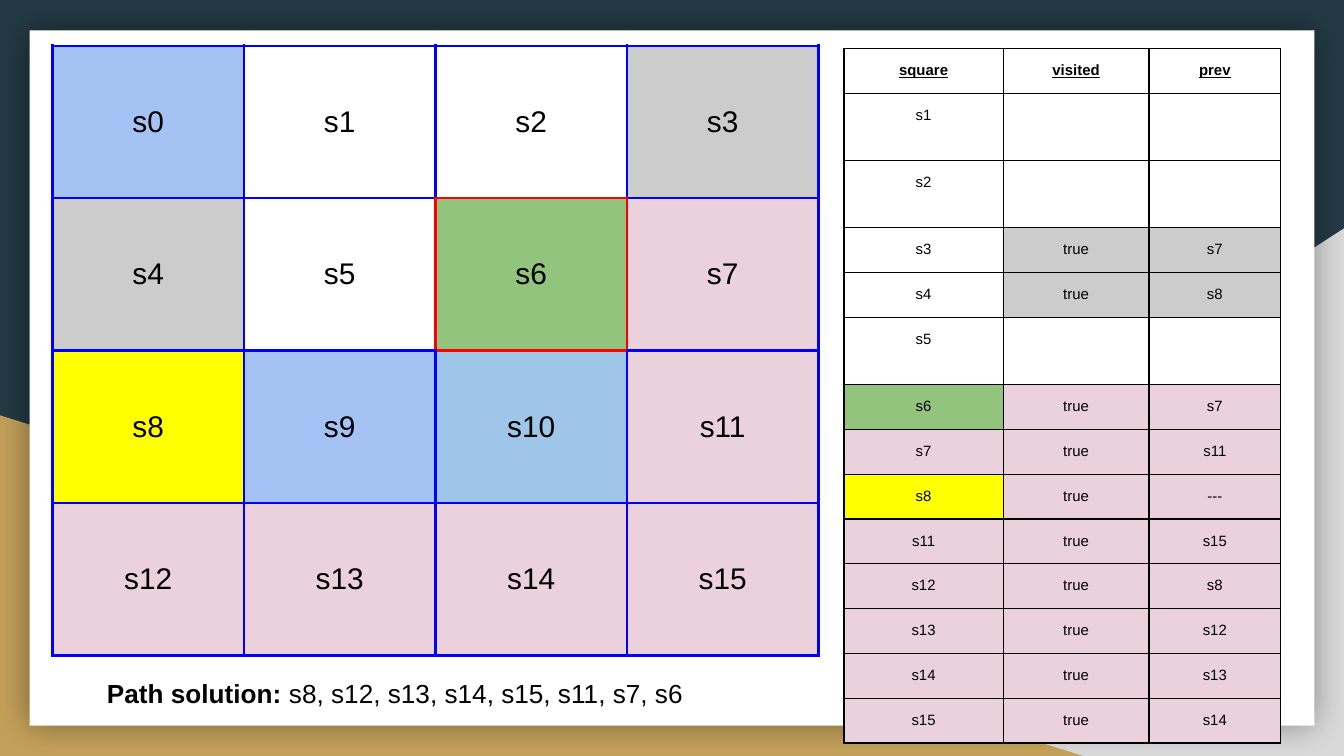
from lxml.etree import SubElement
from pptx import Presentation
from pptx.dml.color import RGBColor
from pptx.enum.shapes import MSO_SHAPE
from pptx.enum.text import MSO_ANCHOR, PP_ALIGN
from pptx.oxml.ns import qn
from pptx.util import Inches, Pt

COLORS = {
    "navy": "233A44", "silver": "D9D9D9", "gold": "C4A15A", "white": "FFFFFF",
    "black": "000000", "line": "0000FF", "goal_line": "FF0000",
    "open": "A4C2F4", "next": "9FC5E8", "wall": "CCCCCC",
    "visited": "EAD1DC", "start": "FFFF00", "goal": "93C47D",
}
COLUMNS, ROWS = 100, 56.25
SIDES = {"lnL": (0, -1), "lnR": (0, 1), "lnT": (-1, 0), "lnB": (1, 0)}


class Board:
    def __init__(self, deck, font="Arial"):
        self.deck = deck
        self.font = font
        self.slide = deck.slides.add_slide(deck.slide_layouts[6])

    def span(self, *units):
        return [int(self.deck.slide_width * unit / COLUMNS) for unit in units]

    def color(self, name):
        return RGBColor.from_string(COLORS[name])

    def paint(self, fill, name):
        if name:
            fill.solid()
            fill.fore_color.rgb = self.color(name)
        else:
            fill.background()

    def inset(self, holder):
        holder.margin_left = holder.margin_right = Inches(0.1)
        holder.margin_top = holder.margin_bottom = Inches(0.1)

    def style(self, paragraph, size, bold=None, underline=None):
        paragraph.alignment = PP_ALIGN.CENTER
        font = paragraph.font
        font.name, font.size = self.font, Pt(size)
        font.bold, font.underline = bold, underline
        font.color.rgb = self.color("black")

    def backdrop(self, name):
        self.paint(self.slide.background.fill, name)

    def panel(self, kind, place, name, flip=False, glow=False):
        panel = self.slide.shapes.add_shape(kind, *self.span(*place))
        panel.shadow.inherit = False
        self.paint(panel.fill, name)
        panel.line.fill.background()
        properties = panel.element.spPr
        if flip:
            properties.xfrm.set("flipH", "1")
        if glow:
            effects = properties.find(qn("a:effectLst"))
            shade = SubElement(effects, qn("a:outerShdw"), blurRad=str(Pt(18)), dist="0", dir="0",
                               algn="ctr", rotWithShape="0")
            tint = SubElement(shade, qn("a:srgbClr"), val=COLORS["black"])
            SubElement(tint, qn("a:alpha"), val="40000")

    def caption(self, place, label, detail, size):
        frame = self.slide.shapes.add_textbox(*self.span(*place)).text_frame
        frame.word_wrap = True
        self.inset(frame)
        paragraph = frame.paragraphs[0]
        self.style(paragraph, size)
        heading = paragraph.add_run()
        heading.text = label
        heading.font.bold = True
        paragraph.add_run().text = detail

    def border(self, cell, side, name, width):
        line = SubElement(cell._tc.get_or_add_tcPr(), qn(f"a:{side}"), w=str(Pt(width)))
        fill = SubElement(line, qn("a:solidFill"))
        SubElement(fill, qn("a:srgbClr"), val=COLORS[name])

    def table(self, corner, widths, heights, texts, fills, size, line, width,
              anchor=MSO_ANCHOR.TOP, header=False, marked=None):
        place = self.span(*corner, sum(widths), sum(heights))
        table = self.slide.shapes.add_table(len(heights), len(widths), *place).table
        table.first_row = table.horz_banding = False
        for column, units in zip(table.columns, self.span(*widths)):
            column.width = units
        for row, units in zip(table.rows, self.span(*heights)):
            row.height = units
        for r, row_texts in enumerate(texts):
            for c, text in enumerate(row_texts):
                cell = table.cell(r, c)
                self.inset(cell)
                cell.vertical_anchor = anchor
                for side, (down, across) in SIDES.items():
                    touches = marked in ((r, c), (r + down, c + across))
                    self.border(cell, side, "goal_line" if touches else line, width)
                self.paint(cell.fill, fills[r][c])
                if text:
                    cell.text = text
                    strong = header and r == 0
                    self.style(cell.text_frame.paragraphs[0], size, strong, strong)


def main():
    deck = Presentation()
    deck.slide_width, deck.slide_height = Inches(COLUMNS / 10), Inches(ROWS / 10)
    board = Board(deck)

    board.backdrop("navy")
    board.panel(MSO_SHAPE.RIGHT_TRIANGLE, (39.2, 17, 60.8, 39.25), "silver", flip=True)
    board.panel(MSO_SHAPE.RIGHT_TRIANGLE, (0, 30.9, 80.6, 25.35), "gold")
    board.panel(MSO_SHAPE.RECTANGLE, (2.2, 2.25, 95.6, 51.75), "white", glow=True)

    route = ["s8", "s12", "s13", "s14", "s15", "s11", "s7", "s6"]
    board.caption((3.9, 49.4, 51, 3.2), "Path solution: ", ", ".join(route), 14)

    states = dict.fromkeys(route, "visited")
    states.update(s0="open", s9="open", s10="next", s3="wall", s4="wall", s8="start", s6="goal")
    squares = [[f"s{4 * r + c}" for c in range(4)] for r in range(4)]
    board.table((3.9, 3.4), [14.25] * 4, [11.35] * 4, squares,
                [[states.get(square) for square in row] for row in squares],
                16, "line", 1.5, anchor=MSO_ANCHOR.MIDDLE, marked=(1, 2))

    previous = {
        "s1": "", "s2": "", "s3": "s7", "s4": "s8", "s5": "", "s6": "s7", "s7": "s11",
        "s8": "---", "s11": "s15", "s12": "s8", "s13": "s12", "s14": "s13", "s15": "s14",
    }
    texts, fills = [["square", "visited", "prev"]], [[None] * 3]
    for square, prev in previous.items():
        state = states.get(square)
        texts.append([square, "true" if prev else "", prev])
        if state == "wall":
            fills.append([None, "wall", "wall"])
        else:
            trail = "visited" if prev else None
            fills.append([state, trail, trail])
    board.table((62.8, 3.6), [11.85, 10.85, 9.8], [3.3] + [3.25] * len(previous),
                texts, fills, 8, "black", 0.75, header=True)

    deck.save("out.pptx")


if __name__ == "__main__":
    main()
